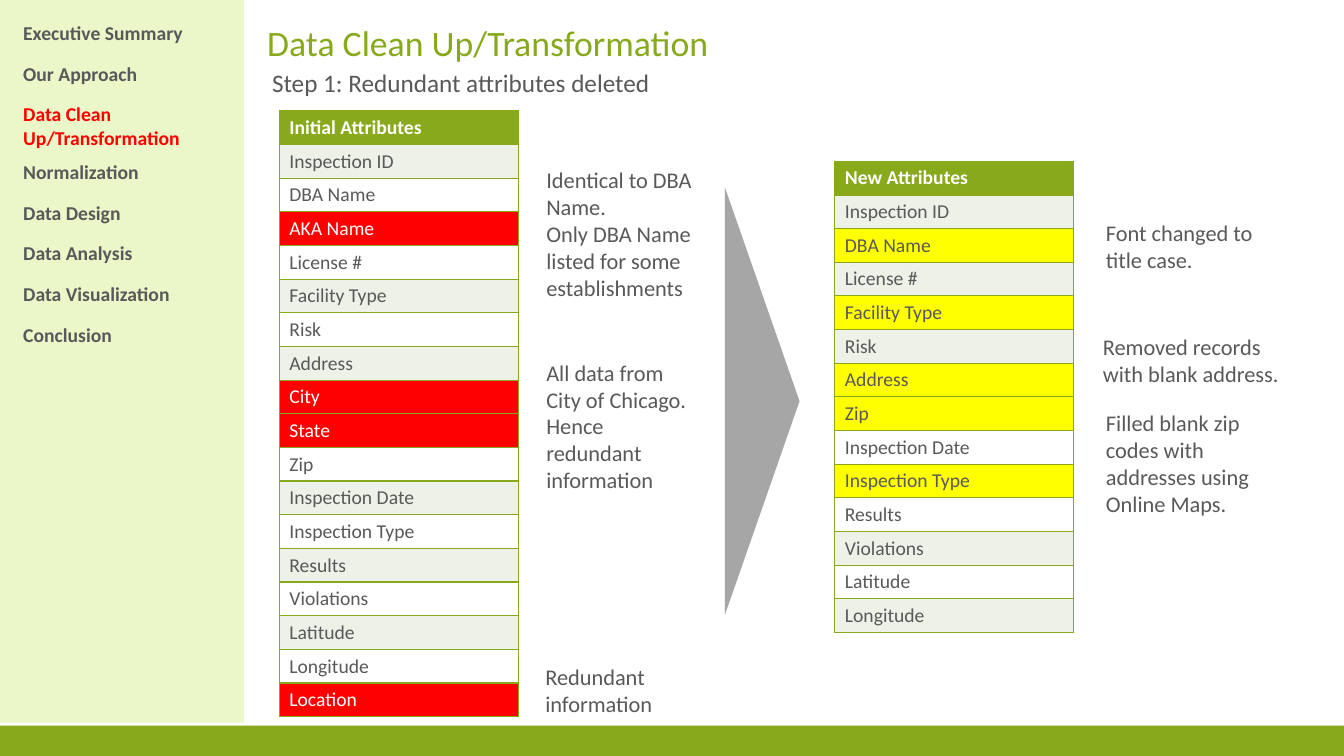
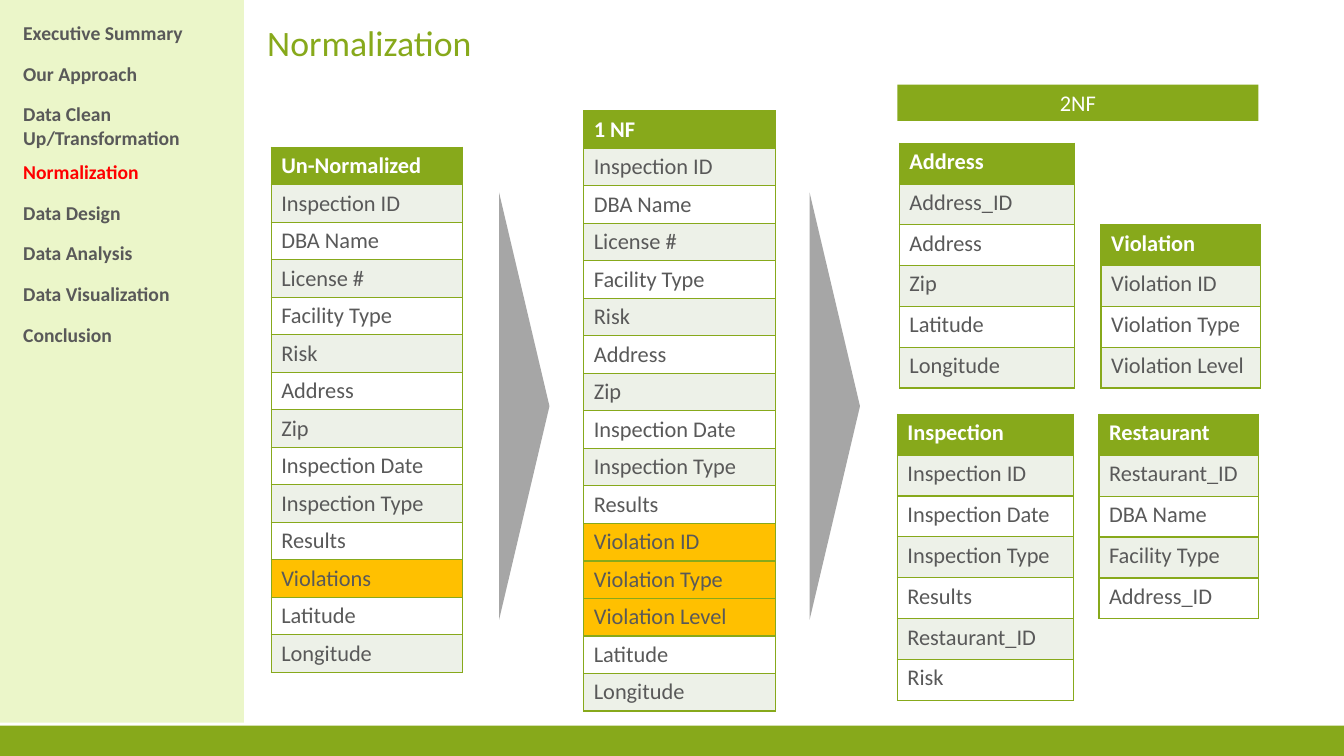
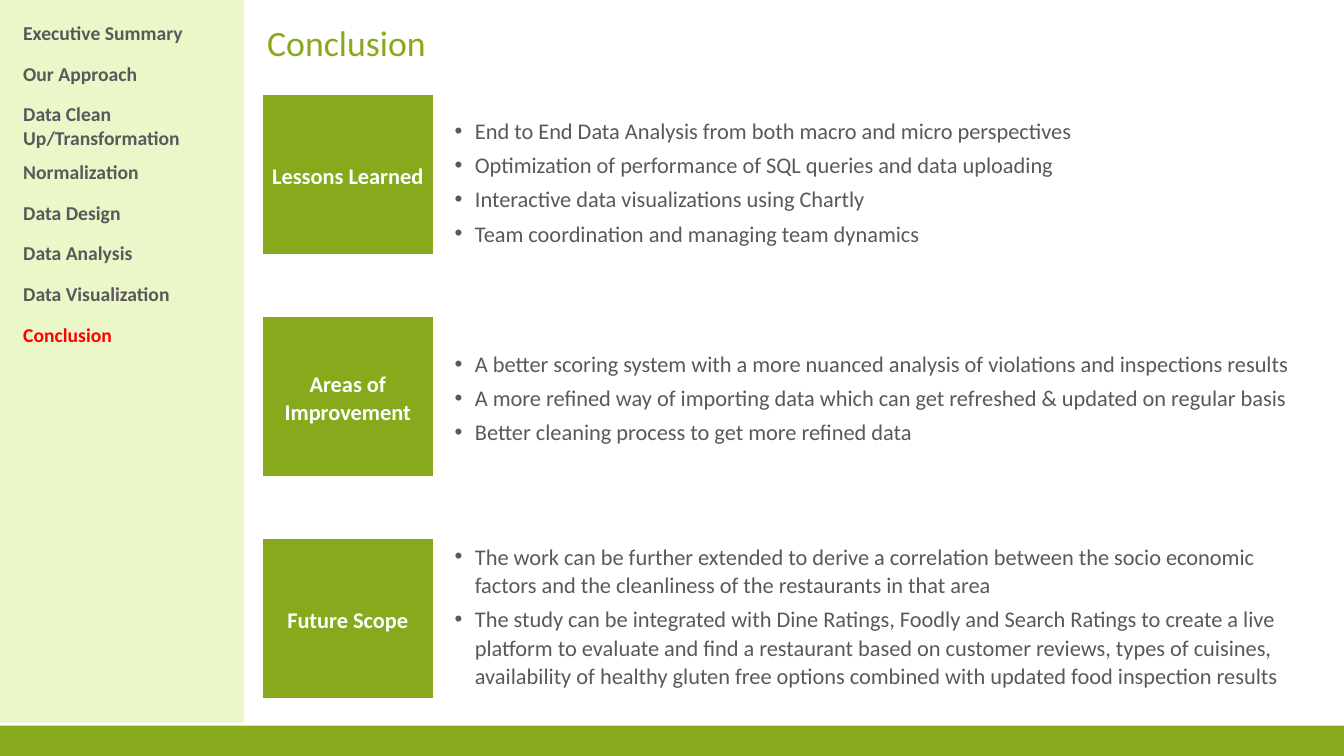
"""Build three slides on cleaning, normalizing and concluding a food inspection study."""
import pptx
import pptx.dml.color
import pptx.enum.shapes
import pptx.enum.text
import pptx.oxml
import pptx.oxml.ns
import pptx.util

Inches = pptx.util.Inches
Pt = pptx.util.Pt
Kind = pptx.enum.shapes.MSO_SHAPE
Align = pptx.enum.text.PP_ALIGN
Anchor = pptx.enum.text.MSO_ANCHOR
Fit = pptx.enum.text.MSO_AUTO_SIZE

FONT = "Calibri"
HUES = {
    "green": "87A91B",
    "pale": "EBF6C9",
    "band": "EDF1E8",
    "white": "FFFFFF",
    "text": "595959",
    "red": "FF0000",
    "yellow": "FFFF00",
    "amber": "FFC000",
    "gray": "A6A6A6",
}
TOPICS = [
    "Executive Summary", "Our Approach", "Data Clean Up/Transformation",
    "Normalization", "Data Design", "Data Analysis", "Data Visualization",
    "Conclusion",
]
FIELDS = [
    "Inspection ID", "DBA Name", "AKA Name", "License #", "Facility Type",
    "Risk", "Address", "City", "State", "Zip", "Inspection Date",
    "Inspection Type", "Results", "Violations", "Latitude", "Longitude",
    "Location",
]
DROPPED = ["AKA Name", "City", "State", "Location"]
EDITED = ["DBA Name", "Facility Type", "Address", "Zip", "Inspection Type"]
KEPT = [name for name in FIELDS if name not in DROPPED]
PARTS = ["Violation ID", "Violation Type", "Violation Level"]
SPLIT = KEPT[:-3] + PARTS + KEPT[-2:]
NOTES = [
    (5.32, 1.6, 1.69, 1.45,
     "Identical to DBA Name.\nOnly DBA Name listed for some establishments"),
    (5.32, 3.51, 1.68, 1.45,
     "All data from City of Chicago. Hence redundant information"),
    (5.31, 6.53, 1.69, 0.64, "Redundant information"),
    (10.87, 2.13, 2, 0.64, "Font changed to title case."),
    (10.84, 3.26, 2, 0.64, "Removed records with blank address."),
    (10.87, 4.01, 1.68, 1.18,
     "Filled blank zip codes with addresses using Online Maps."),
]
SECOND = [
    (8.92, 1.42, 1.74, 2.43, "Address",
     ["Address_ID", "Address", "Zip", "Latitude", "Longitude"]),
    (10.92, 2.23, 1.58, 1.62, "Violation", PARTS),
    (8.9, 4.11, 1.75, 2.84, "Inspection",
     ["Inspection ID", "Inspection Date", "Inspection Type", "Results",
      "Restaurant_ID", "Risk"]),
    (10.9, 4.11, 1.58, 2.03, "Restaurant",
     ["Restaurant_ID", "DBA Name", "Facility Type", "Address_ID"]),
]
POINTS = [
    ("Lessons Learned", 1.11, [
        "End to End Data Analysis from both macro and micro perspectives",
        "Optimization of performance of SQL queries and data uploading",
        "Interactive data visualizations using Chartly",
        "Team coordination and managing team dynamics",
    ]),
    ("Areas of Improvement", 3.42, [
        "A better scoring system with a more nuanced analysis of violations "
        "and inspections results",
        "A more refined way of importing data which can get refreshed & "
        "updated on regular basis",
        "Better cleaning process to get more refined data",
    ]),
    ("Future Scope", 5.33, [
        "The work can be further extended to derive a correlation between the "
        "socio economic factors and the cleanliness of the restaurants in "
        "that area",
        "The study can be integrated with Dine Ratings, Foodly and Search "
        "Ratings to create a live platform to evaluate and find a restaurant "
        "based on customer reviews, types of cuisines, availability of "
        "healthy gluten free options combined with updated food inspection "
        "results",
    ]),
]


def tint(name):
    return pptx.dml.color.RGBColor.from_string(HUES[name])


def paint(fill, name):
    fill.solid()
    fill.fore_color.rgb = tint(name)


def style(frame, size, hue="text", bold=False, align=Align.LEFT, pitch=None):
    for para in frame.paragraphs:
        para.alignment = align
        if pitch:
            para.line_spacing = pitch
        for run in para.runs:
            run.font.name = FONT
            run.font.size = Pt(size)
            run.font.bold = bold
            run.font.color.rgb = tint(hue)


def place(shape, x, y, w, h):
    shape.left, shape.top = Inches(x), Inches(y)
    shape.width, shape.height = Inches(w), Inches(h)


def inset(frame, gap):
    frame.margin_left = frame.margin_right = Inches(gap)
    frame.margin_top = frame.margin_bottom = Inches(gap)


def block(slide, x, y, w, h, hue="green", kind=Kind.RECTANGLE):
    shape = slide.shapes.add_shape(
        kind, Inches(x), Inches(y), Inches(w), Inches(h))
    shape.shadow.inherit = False
    paint(shape.fill, hue)
    shape.line.fill.background()
    return shape


def arrow(slide, x, y, w):
    shape = block(slide, x, y, w, 4.24, "gray", Kind.PENTAGON)
    shape.adjustments[0] = 1


def label(shape, text, bold=False, pitch=None):
    frame = shape.text_frame
    frame.text = text
    frame.word_wrap = True
    frame.vertical_anchor = Anchor.MIDDLE
    style(frame, 16, "white", bold, Align.CENTER, pitch)


def note(slide, x, y, w, h, text, size=16):
    box = slide.shapes.add_textbox(Inches(x), Inches(y), Inches(w), Inches(h))
    box.text_frame.word_wrap = True
    box.text_frame.text = text
    style(box.text_frame, size)


def edge(cell, hue):
    props = cell._tc.get_or_add_tcPr()
    space = pptx.oxml.ns.nsdecls("a")
    ink = "<a:noFill/>"
    if hue:
        ink = f'<a:solidFill><a:srgbClr val="{HUES[hue]}"/></a:solidFill>'
    for side in "LRTB":
        props.append(pptx.oxml.parse_xml(
            f'<a:ln{side} {space} w="12700">{ink}</a:ln{side}>'))


def column(slide, x, y, w, h, names):
    shape = slide.shapes.add_table(
        len(names), 1, Inches(x), Inches(y), Inches(w), Inches(h))
    table = shape.table
    table.first_row = table.horz_banding = False
    cells = [row.cells[0] for row in table.rows]
    for cell, name in zip(cells, names):
        cell.text = name
    return cells


def grid(slide, x, y, w, h, head, names, size=16, marks=(), mark=None):
    cells = column(slide, x, y, w, h, [head] + names)
    for num, cell in enumerate(cells):
        fill, ink = ("band" if num % 2 else "white"), "text"
        if num == 0:
            fill, ink = "green", "white"
        elif cell.text in marks:
            fill = mark
            ink = "white" if mark == "red" else "text"
        edge(cell, "green")
        paint(cell.fill, fill)
        style(cell.text_frame, size, ink, num == 0)


def menu(slide, topic):
    for cell in column(slide, 0.13, 0.17, 2.19, 3.22, TOPICS):
        edge(cell, None)
        cell.fill.background()
        hue = "red" if cell.text == topic else "text"
        style(cell.text_frame, 14, hue, True)


def bullets(body, y, lines):
    place(body, 4.47, y, 8.39, 1.59)
    frame = body.text_frame
    frame.text = "\n".join(lines)
    frame.auto_size = Fit.NONE
    frame.vertical_anchor = Anchor.TOP
    inset(frame, 0.04)
    style(frame, 16, pitch=1.06)
    for num, para in enumerate(frame.paragraphs):
        para.space_before = Pt(4 if num else 0)
        props = para._p.get_or_add_pPr()
        props.set("marL", str(Inches(0.2)))
        props.set("indent", str(Inches(-0.2)))
        props.append(pptx.oxml.parse_xml(
            f'<a:buChar {pptx.oxml.ns.nsdecls("a")} char="•"/>'))


def start(deck, topic, layout=5):
    slide = deck.slides.add_slide(deck.slide_layouts[layout])
    title = slide.shapes.title
    place(title, 2.55, 0.17, 10.64, 0.52)
    frame = title.text_frame
    frame.text = topic
    frame.auto_size = Fit.NONE
    frame.vertical_anchor = Anchor.BOTTOM
    style(frame, 25.5, "green", pitch=0.9)
    menu(slide, topic)
    return slide


def brand(deck, slide):
    bands = [block(slide, 0, 7.2, 13.33, 0.3),
             block(slide, 0, 0, 2.42, 7.17, "pale")]
    for num, band in enumerate(bands):
        band.element.xpath(".//p:cNvPr")[0].set("id", str(101 + num))
        deck.slide_master.shapes.element.insert(2 + num, band.element)


def clean(deck):
    slide = start(deck, "Data Clean Up/Transformation")
    brand(deck, slide)
    note(slide, 2.6, 0.62, 10.64, 0.4,
         "Step 1: Redundant attributes deleted", 18)
    grid(slide, 2.77, 1.1, 2.37, 6, "Initial Attributes", FIELDS, 14,
         DROPPED, "red")
    grid(slide, 8.28, 1.6, 2.37, 4.67, "New Attributes", KEPT, 14,
         EDITED, "yellow")
    arrow(slide, 7.19, 1.86, 0.74)
    for item in NOTES:
        note(slide, *item)


def normal(deck):
    slide = start(deck, "Normalization")
    grid(slide, 2.69, 1.46, 1.9, 5.2, "Un-Normalized", KEPT,
         marks=["Violations"], mark="amber")
    grid(slide, 5.79, 1.1, 1.9, 5.95, "1 NF", SPLIT,
         marks=PARTS, mark="amber")
    for item in SECOND:
        grid(slide, *item)
    for x in (4.95, 8.03):
        arrow(slide, x, 1.91, 0.5)
    label(block(slide, 8.9, 0.84, 3.58, 0.36), "2NF")


def close(deck):
    slide = start(deck, "Conclusion", 4)
    bodies = list(slide.placeholders)[1:]
    for num, (head, y, lines) in enumerate(POINTS):
        tile = block(slide, 2.6, 0.94 + 2.2 * num, 1.7, 1.59)
        paint(tile.line.fill, "white")
        tile.line.width = Pt(1)
        inset(tile.text_frame, 0.04)
        label(tile, head, True, 1.06)
        bullets(bodies[num], y, lines)
    for spare in bodies[len(POINTS):]:
        spare.element.getparent().remove(spare.element)


def main():
    deck = pptx.Presentation()
    deck.slide_width, deck.slide_height = Inches(13.33), Inches(7.5)
    clean(deck)
    normal(deck)
    close(deck)
    deck.save("out.pptx")


if __name__ == "__main__":
    main()
